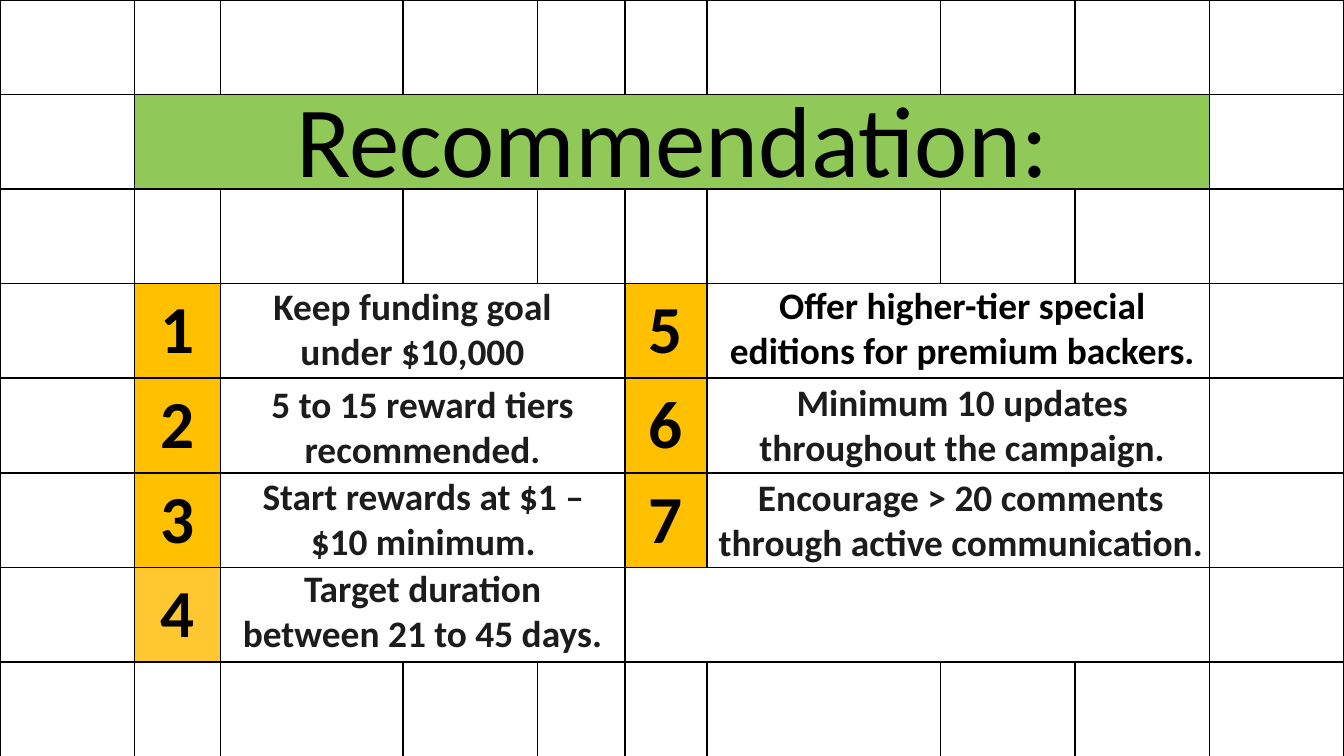
from lxml.etree import SubElement
from pptx import Presentation
from pptx.dml.color import RGBColor
from pptx.enum.text import MSO_ANCHOR, MSO_AUTO_SIZE, PP_ALIGN
from pptx.oxml.ns import qn
from pptx.util import Inches, Pt

COLORS = {
    "black": "000000",
    "text": "1D1C1D",
    "white": "FFFFFF",
    "green": "90C958",
    "amber": "FFC000",
    "light_amber": "FFC730",
}
COL_WIDTHS = [1, 0.64, 1.36, 1, 0.65, 0.61, 1.74, 1, 1, 1]
ROWS = 8
TABLE_HEIGHT = 5.63
FIRST_ITEM_ROW = 3


def write(tf, text, size, color="black", bold=False):
    tf.word_wrap = True
    p = tf.paragraphs[0]
    p.alignment = PP_ALIGN.CENTER
    r = p.add_run()
    r.text = text
    r.font.name = "Calibri"
    r.font.size = Pt(size)
    r.font.bold = bold
    r.font.color.rgb = RGBColor.from_string(COLORS[color])


def fill_cell(cell, color):
    cell.fill.solid()
    cell.fill.fore_color.rgb = RGBColor.from_string(COLORS[color])


prs = Presentation()
prs.slide_width = Inches(10)
prs.slide_height = Inches(10 * 9 / 16)
s = prs.slides.add_slide(prs.slide_layouts[5])

# Background grid
table = s.shapes.add_table(
    ROWS, len(COL_WIDTHS), 0, 0, Inches(10), Inches(TABLE_HEIGHT)
).table
table.first_row = False
table.horz_banding = False
for col, width in zip(table.columns, COL_WIDTHS):
    col.width = Inches(width)
for row in table.rows:
    row.height = Inches(TABLE_HEIGHT / ROWS)

for cell in table.iter_cells():
    tcPr = cell._tc.get_or_add_tcPr()
    for side in ("a:lnL", "a:lnR", "a:lnT", "a:lnB"):
        ln = SubElement(tcPr, qn(side), w=str(Pt(1)))
        line_fill = SubElement(ln, qn("a:solidFill"))
        SubElement(line_fill, qn("a:srgbClr"), val=COLORS["black"])
    cell.margin_top = cell.margin_bottom = 0
    cell.vertical_anchor = MSO_ANCHOR.MIDDLE
    cell.fill.background()

# Title band and the white cells below it
table.cell(1, 1).merge(table.cell(1, 8))
fill_cell(table.cell(1, 1), "green")
for col in range(1, 9):
    fill_cell(table.cell(2, col), "white")

# Item numbers, each followed by a merged cell
for number in range(1, 8):
    block, offset = divmod(number - 1, 4)
    row, col = FIRST_ITEM_ROW + offset, 1 + 4 * block
    cell = table.cell(row, col)
    write(cell.text_frame, str(number), 36, bold=True)
    fill_cell(cell, "light_amber" if number == 4 else "amber")
    table.cell(row, col + 1).merge(table.cell(row, col + 3))
    if block == 1:
        fill_cell(table.cell(row, col + 1), "white")
table.cell(6, 5).merge(table.cell(6, 8))

# Title, brought in front of the grid
title = s.shapes.title
title.left, title.top = Inches(1.32), Inches(0.52)
title.width, title.height = Inches(7.37), Inches(1.01)
title.text_frame.vertical_anchor = MSO_ANCHOR.TOP
title.text_frame.auto_size = MSO_AUTO_SIZE.SHAPE_TO_FIT_TEXT
write(title.text_frame, "Recommendation:", 54)
s.shapes.element.append(title.element)

# Recommendations: left, top, width, text, color
recommendations = [
    (5.3, 2.05, 3.72, "Offer higher-tier special editions for premium backers.", "black"),
    (1.66, 4.16, 2.97, "Target duration between 21 to 45 days.", "text"),
    (5.5, 2.77, 3.32, "Minimum 10 updates throughout the campaign.", "text"),
    (1.63, 2.06, 2.88, "Keep funding goal under $10,000", "text"),
    (1.88, 2.79, 2.53, "5 to 15 reward tiers recommended.", "text"),
    (1.79, 3.47, 2.72, "Start rewards at $1 –$10 minimum.", "text"),
    (5.21, 3.48, 3.88, "Encourage > 20 comments through active communication.", "text"),
]
for left, top, width, text, color in recommendations:
    sp = s.shapes.add_textbox(Inches(left), Inches(top), Inches(width), Inches(0.77))
    sp.text_frame.auto_size = MSO_AUTO_SIZE.SHAPE_TO_FIT_TEXT
    write(sp.text_frame, text, 20, color=color, bold=True)

prs.save("out.pptx")
